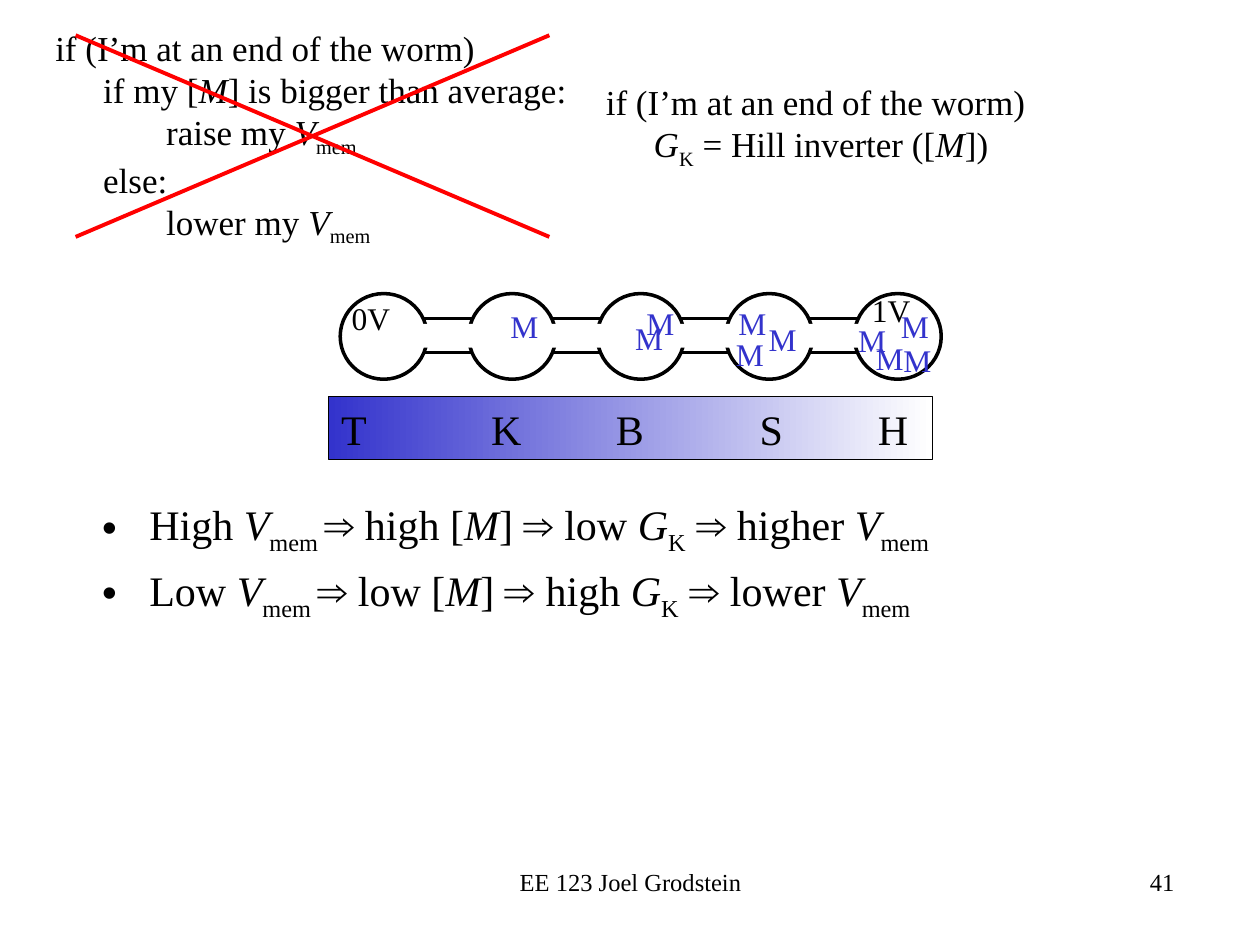
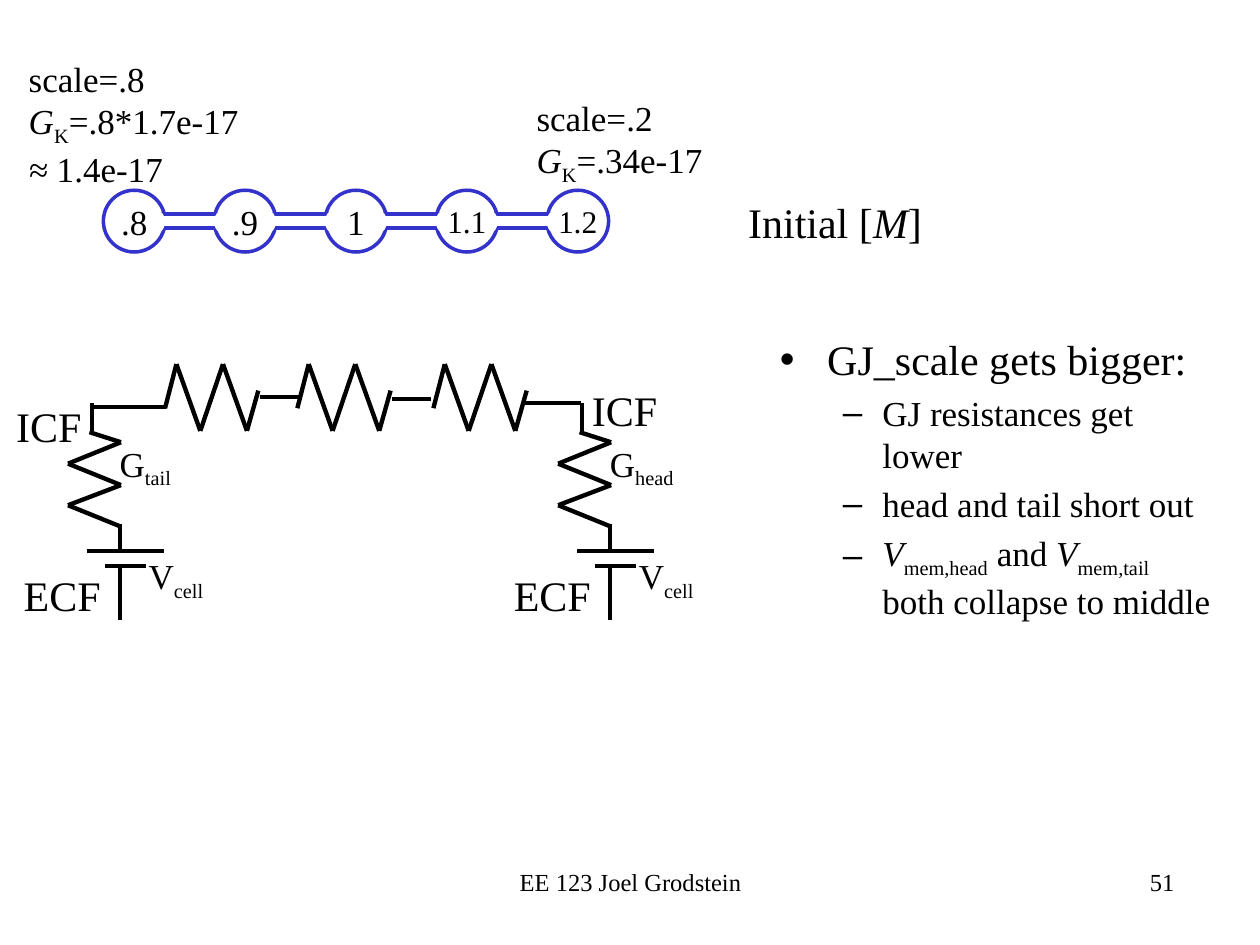
from dataclasses import dataclass
from itertools import pairwise

from lxml import etree
from pptx import Presentation
from pptx import util as u
from pptx.dml.color import RGBColor
from pptx.enum import shapes, text
from pptx.oxml import ns


@dataclass(frozen=True)
class Theme:
    """Colours, font and point sizes shared by both slides."""
    font: str = "Times New Roman"
    black: RGBColor = RGBColor(0x00, 0x00, 0x00)
    white: RGBColor = RGBColor(0xFF, 0xFF, 0xFF)
    blue: RGBColor = RGBColor(0x33, 0x33, 0xCC)
    red: RGBColor = RGBColor(0xFF, 0x00, 0x00)
    heading: int = 24
    normal: int = 20
    label: int = 18
    footer: int = 14
    outline: float = 2
    wire: float = 2.25
    zigzag: float = 2.5


THEME = Theme()
EMU_PER_PX = 9144
BULLET_SIZES = (THEME.heading, THEME.normal)
OVAL = shapes.MSO_SHAPE.OVAL
RECTANGLE = shapes.MSO_SHAPE.RECTANGLE


def px(*lengths):
    """Turn px lengths (100 to the inch) into EMU."""
    return [u.Emu(length * EMU_PER_PX) for length in lengths]


def write(paragraph, markup, size, color=THEME.black, align=text.PP_ALIGN.LEFT):
    """Fill a paragraph; ~x~ marks italics and ^x^ marks a subscript."""
    paragraph.alignment = align
    paragraph.font.name = THEME.font
    paragraph.font.size = u.Pt(size)
    paragraph.font.color.rgb = color
    for index, part in enumerate(markup.split("~")):
        for depth, piece in enumerate(part.split("^")):
            if not piece:
                continue
            run = paragraph.add_run()
            run.text = piece
            if index % 2:
                run.font.italic = True
            if depth % 2:
                run._r.get_or_add_rPr().set("baseline", "-25000")


def paragraphs(frame, count):
    """Return the frame's first paragraph and as many more as are needed."""
    return [frame.paragraphs[0]] + [frame.add_paragraph() for _ in range(count - 1)]


def clear_insets(frame):
    """Remove the inner margins of a text frame."""
    frame.margin_left = frame.margin_right = frame.margin_top = frame.margin_bottom = 0


def add_text(canvas, box, lines, size, align=text.PP_ALIGN.LEFT, indents=()):
    """Add a wrapping text box, one paragraph per line, with optional indents."""
    frame = canvas.add_textbox(*px(*box)).text_frame
    frame.word_wrap = True
    for paragraph, line in zip(paragraphs(frame, len(lines)), lines):
        write(paragraph, line, size, align=align)
    for paragraph, indent in zip(frame.paragraphs, indents):
        paragraph._p.get_or_add_pPr().set("marL", str(px(indent)[0]))


def add_label(canvas, box, markup, size, color=THEME.black, anchor=text.MSO_ANCHOR.TOP):
    """Add a one-line label without insets."""
    frame = canvas.add_textbox(*px(*box)).text_frame
    frame.word_wrap = False
    frame.vertical_anchor = anchor
    clear_insets(frame)
    write(frame.paragraphs[0], markup, size, color)


def add_bullets(slide, box, items):
    """Move the body placeholder and fill it with (level, markup) items."""
    body = slide.placeholders[1]
    body.left, body.top, body.width, body.height = px(*box)
    frame = body.text_frame
    frame.auto_size = text.MSO_AUTO_SIZE.NONE
    for paragraph, (level, markup) in zip(paragraphs(frame, len(items)), items):
        paragraph.level = level
        write(paragraph, markup, BULLET_SIZES[level])
    frame.paragraphs[0].space_before = u.Pt(0)


def add_figure(canvas, kind, box, fill=THEME.white, line=None, weight=THEME.outline):
    """Add a flat preset shape with an optional fill and outline."""
    shape = canvas.add_shape(kind, *px(*box))
    shape.shadow.inherit = False
    if fill is None:
        shape.fill.background()
    else:
        shape.fill.solid()
        shape.fill.fore_color.rgb = fill
    if line is None:
        shape.line.fill.background()
    else:
        shape.line.color.rgb = line
        shape.line.width = u.Pt(weight)
    return shape


def add_line(canvas, start, end, weight=THEME.wire, color=THEME.black):
    """Add a straight line without a shadow."""
    line = canvas.add_connector(shapes.MSO_CONNECTOR.STRAIGHT, *px(*start, *end))
    line.line.color.rgb = color
    line.line.width = u.Pt(weight)
    etree.SubElement(line._element.spPr, ns.qn("a:effectLst"))


def add_zigzag(canvas, points, shift):
    """Draw a resistor as segments through points, shifted to the right."""
    for (x1, y1), (x2, y2) in pairwise(points):
        add_line(canvas, (x1 + shift, y1), (x2 + shift, y2), THEME.zigzag)


def add_slide(presentation, number):
    """Add a slide with a body, the course footer and its number."""
    slide = presentation.slides.add_slide(presentation.slide_layouts[1])
    title = slide.shapes.title._element
    title.getparent().remove(title)
    add_text(slide.shapes, (625, 683, 317, 50), [str(number)], THEME.footer, text.PP_ALIGN.RIGHT)
    add_text(slide.shapes, (342, 683, 317, 34), ["EE 123 Joel Grodstein"], THEME.footer,
             text.PP_ALIGN.CENTER)
    return slide


def add_worm(canvas):
    """Draw five joined cells holding more M towards the head."""
    add_figure(canvas, RECTANGLE, (318, 253, 398, 27), line=THEME.black)
    for index in range(5):
        add_figure(canvas, OVAL, (270 + 102 * index, 233, 69, 68), line=THEME.black)
    add_figure(canvas, RECTANGLE, (314, 257, 405, 19))
    molecules = [(405, 244), (513, 241), (504, 253), (586, 241), (584, 266), (610, 254),
                 (681, 255), (715, 244), (695, 269), (717, 271)]
    for x, y in molecules:
        add_label(canvas, (x, y, 22, 30), "M", THEME.label, THEME.blue, text.MSO_ANCHOR.MIDDLE)
    for x, y, voltage in [(279, 237, "0V"), (692, 231, "1V")]:
        add_label(canvas, (x, y, 31, 30), voltage, THEME.label, anchor=text.MSO_ANCHOR.MIDDLE)


def add_gradient_band(canvas, box, letters, stops):
    """Draw the blue-to-white band with letters set at tab stops."""
    band = add_figure(canvas, RECTANGLE, box, line=THEME.black, weight=0.75)
    band.fill.gradient()
    band.fill.gradient_angle = 0
    for stop, color in zip(band.fill.gradient_stops, (THEME.blue, THEME.white)):
        stop.color.rgb = color
    paragraph = band.text_frame.paragraphs[0]
    tabs = etree.SubElement(paragraph._p.get_or_add_pPr(), ns.qn("a:tabLst"))
    for stop in px(*stops):
        etree.SubElement(tabs, ns.qn("a:tab"), pos=str(stop), algn="l")
    write(paragraph, "\t".join(letters), THEME.heading)


def add_cell_chain(canvas, values):
    """Draw a row of numbered cells joined by open channels."""
    lefts = [82 + 88 * index for index in range(len(values))]
    for left, value in zip(lefts, values):
        cell = add_figure(canvas, OVAL, (left, 151, 49, 49), fill=None, line=THEME.blue)
        clear_insets(cell.text_frame)
        size = THEME.label if len(value) > 2 else THEME.normal
        write(cell.text_frame.paragraphs[0], value, size, align=text.PP_ALIGN.CENTER)
    for left, following in pairwise(lefts):
        add_figure(canvas, RECTANGLE, (left + 42, 170, 52, 11), line=THEME.blue)
        for gap in (left + 36, following):
            add_figure(canvas, OVAL, (gap, 167, 13, 18))


def add_cell_circuit(slide, shift, end_name, icf_place):
    """Draw one end cell: a conductance in series with a battery."""
    canvas = slide.shapes.add_group_shape().shapes
    wires = [(69, 437, 130, 437), (83, 449, 116, 449), (95, 450, 95, 492),
             (95, 416, 95, 438), (73, 320, 73, 342)]
    for x1, y1, x2, y2 in wires:
        add_line(canvas, (x1 + shift, y1), (x2 + shift, y2))
    add_zigzag(canvas, [(71, 343), (96, 351), (54, 368), (96, 385), (54, 401), (96, 418)], shift)
    add_label(canvas, (118 + shift, 440, 47, 34), "V^cell^", THEME.normal)
    add_label(canvas, (95 + shift, 351, 44 if end_name == "tail" else 55, 34),
              f"G^{end_name}^", THEME.normal)
    add_text(canvas, (9 + shift, 447, 87, 50), ["ECF"], THEME.heading)
    add_text(canvas, (*icf_place, 87, 50), ["ICF"], THEME.heading)


def add_gap_junctions(slide):
    """Draw the three resistors between the end cells and their wires."""
    points = [(131, 324), (140, 289), (159, 342), (177, 289), (196, 342), (205, 310)]
    for shift in (0, 105, 213):
        add_zigzag(slide.shapes.add_group_shape().shapes, points, shift)
    for x1, x2, y in [(73, 132, 323), (206, 238, 315), (311, 342, 317), (417, 461, 320)]:
        add_line(slide.shapes, (x1, y), (x2, y))


def build_feedback_slide(presentation):
    """Build the slide that replaces the if-else rule by a Hill inverter."""
    slide = add_slide(presentation, 41)
    canvas = slide.shapes
    add_bullets(slide, (71, 391, 884, 251), [
        (0, "High ~V~^mem ^⇒ high [~M~] ⇒ low ~G~^K^ ⇒ higher ~V~^mem^"),
        (0, "Low ~V~^mem ^⇒ low [~M~] ⇒ high ~G~^K^ ⇒ lower ~V~^mem^"),
    ])
    condition = "if (I’m at an end of the worm)"
    add_text(canvas, (471, 59, 442, 77), [condition, "~G~^K^ = Hill inverter ([~M~])"],
             THEME.normal, indents=(0, 38))
    add_text(canvas, (34, 16, 442, 178),
             [condition, "if my [~M~] is bigger than average:", "raise my ~V~^mem^",
              "else:", "lower my ~V~^mem^"],
             THEME.normal, indents=(0, 38, 88, 38, 88))
    add_worm(canvas)
    add_gradient_band(canvas, (261, 315, 479, 50), "TKBSH", (119, 218, 332, 426))
    cross = canvas.add_group_shape().shapes
    for start_y, end_y in [(28, 188), (188, 28)]:
        add_line(cross, (60, start_y), (436, end_y), color=THEME.red)


def build_circuit_slide(presentation):
    """Build the slide with the cell chain and its equivalent circuit."""
    slide = add_slide(presentation, 51)
    canvas = slide.shapes
    add_cell_chain(canvas, [".8", ".9", "1", "1.1", "1.2"])
    add_text(canvas, (584, 151, 170, 50), ["Initial [~M~]"], THEME.heading)
    add_text(canvas, (13, 41, 196, 111), ["scale=.8", "~G~^K^=.8*1.7e-17", "~≈ ~1.4e-17"],
             THEME.normal)
    add_text(canvas, (416, 72, 162, 77), ["scale=.2", "~G~^K^=.34e-17"], THEME.normal)
    add_bullets(slide, (609, 260, 367, 261), [
        (0, "GJ_scale gets bigger:"),
        (1, "GJ resistances get lower"),
        (1, "head and tail short out"),
        (1, "~V~^mem,head^ and ~V~^mem,tail^ both collapse to middle"),
    ])
    add_cell_circuit(slide, 0, "tail", (3, 313))
    add_cell_circuit(slide, 389, "head", (460, 300))
    add_gap_junctions(slide)


def main():
    """Build both slides and save the presentation."""
    presentation = Presentation()
    presentation.slide_width, presentation.slide_height = px(1000, 750)
    build_feedback_slide(presentation)
    build_circuit_slide(presentation)
    presentation.save("out.pptx")


if __name__ == "__main__":
    main()
